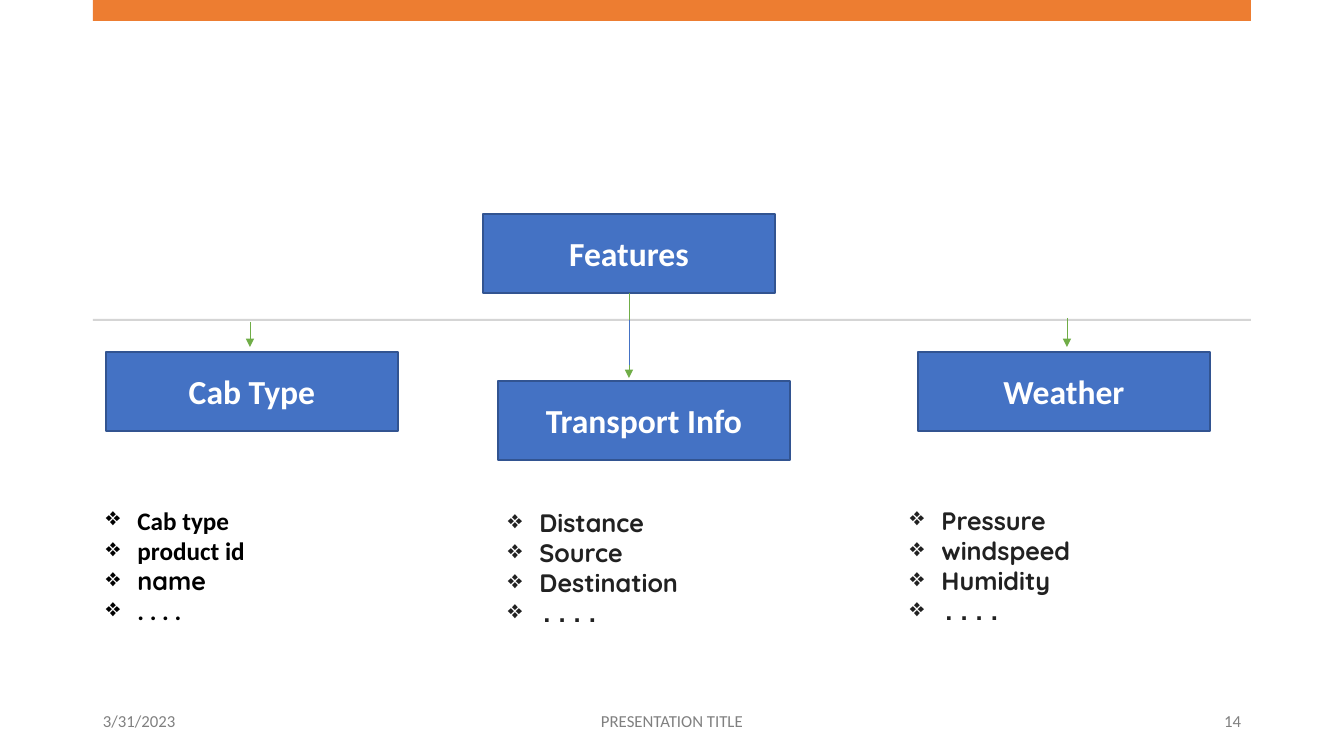
from lxml import etree
from pptx import Presentation
from pptx import util as u
from pptx.dml.color import RGBColor
from pptx.enum import shapes, text
from pptx.oxml import ns

PX = 12192000 / 1344
WHITE = RGBColor(0xFF, 0xFF, 0xFF)
BLACK = RGBColor(0, 0, 0)
INK = RGBColor(0x21, 0x21, 0x21)
GREY = RGBColor(0x80, 0x80, 0x80)
RULE = RGBColor(0xD5, 0xD5, 0xD5)
ORANGE = RGBColor(0xED, 0x7D, 0x31)
BLUE = RGBColor(0x44, 0x72, 0xC4)
NAVY = RGBColor(0x32, 0x54, 0x91)
GREEN = RGBColor(0x70, 0xAD, 0x47)
ALIGN = text.PP_ALIGN


def emu(*px):
    return [u.Emu(round(v * PX)) for v in px]


def write(tf, words, font="Calibri", size=18, color=BLACK, bold=False,
          align=ALIGN.LEFT, anchor=text.MSO_ANCHOR.MIDDLE, bullet=None):
    """Fill tf with one paragraph per line; font is one name or one per line."""
    lines = words.split("\n")
    fonts = [font] * len(lines) if isinstance(font, str) else font
    tf.word_wrap = True
    tf.vertical_anchor = anchor
    for i, (line, name) in enumerate(zip(lines, fonts)):
        p = tf.paragraphs[0] if i == 0 else tf.add_paragraph()
        p.alignment = align
        r = p.add_run()
        r.text = line
        r.font.name, r.font.size, r.font.bold = name, u.Pt(size), bold
        r.font.color.rgb = color
        if bullet:
            pPr = p._p.get_or_add_pPr()
            pPr.set("marL", "285750")
            pPr.set("indent", "-285750")
            etree.SubElement(pPr, ns.qn("a:buChar")).set("char", bullet)


prs = Presentation()
prs.slide_width, prs.slide_height = emu(1344, 756)
s = prs.slides.add_slide(prs.slide_layouts[6])

# Top band and dividing rule
for y, h, color in ((0, 21, ORANGE), (319, 2, RULE)):
    band = s.shapes.add_shape(shapes.MSO_SHAPE.RECTANGLE, *emu(93, y, 1158, h))
    band.shadow.inherit = False
    band.fill.solid()
    band.fill.fore_color.rgb = color
    band.line.fill.background()

# Footer
for x, w, words, align in ((93, 290, "3/31/2023", ALIGN.LEFT),
                           (445, 454, "PRESENTATION TITLE", ALIGN.CENTER),
                           (961, 290, "14", ALIGN.RIGHT)):
    sp = s.shapes.add_textbox(*emu(x, 701, w, 40))
    write(sp.text_frame, words, size=12, color=GREY, align=align)

# Feature boxes
for x, y, words in ((483, 214, "Features"), (918, 352, "Weather"),
                    (106, 352, "Cab Type"), (498, 381, "Transport Info")):
    box = s.shapes.add_shape(shapes.MSO_SHAPE.RECTANGLE, *emu(x, y, 292, 79))
    box.shadow.inherit = False
    box.fill.solid()
    box.fill.fore_color.rgb = BLUE
    box.line.color.rgb = NAVY
    box.line.width = u.Pt(1)
    write(box.text_frame, words, size=24, color=WHITE, bold=True, align=ALIGN.CENTER)

# Stem and arrows
for x, top, bottom, color, arrow in ((629, 293, 320, GREEN, False),
                                     (250, 322, 347, GREEN, True),
                                     (629, 352, 378, GREEN, True),
                                     (1067, 318, 347, GREEN, True),
                                     (629, 320, 365, BLUE, False)):
    line = s.shapes.add_connector(shapes.MSO_CONNECTOR.STRAIGHT,
                                  *emu(x, top, x, bottom))
    line.line.color.rgb = color
    line.line.width = u.Pt(0.5)
    if arrow:
        ln = line.line._get_or_add_ln()
        etree.SubElement(ln, ns.qn("a:tailEnd")).set("type", "triangle")
    etree.SubElement(line._element.spPr, ns.qn("a:effectLst"))

# Feature lists
CAB_FONTS = ["Calibri", "Calibri", "Quicksand", "Calibri"]
INFO_FONTS = ["Quicksand"] * 3 + ["Courier New"]
for x, y, w, words, fonts, color in (
        (96, 500, 302, "Cab type\nproduct id\nname\n. . . .", CAB_FONTS, BLACK),
        (498, 502, 292, "Distance\nSource\nDestination\n....", INFO_FONTS, INK),
        (900, 500, 316, "Pressure\nwindspeed\nHumidity\n....", INFO_FONTS, INK)):
    sp = s.shapes.add_textbox(*emu(x, y, w, 132))
    write(sp.text_frame, words, font=fonts, color=color, bold=True,
          anchor=text.MSO_ANCHOR.TOP, bullet="❖")

prs.save("out.pptx")
